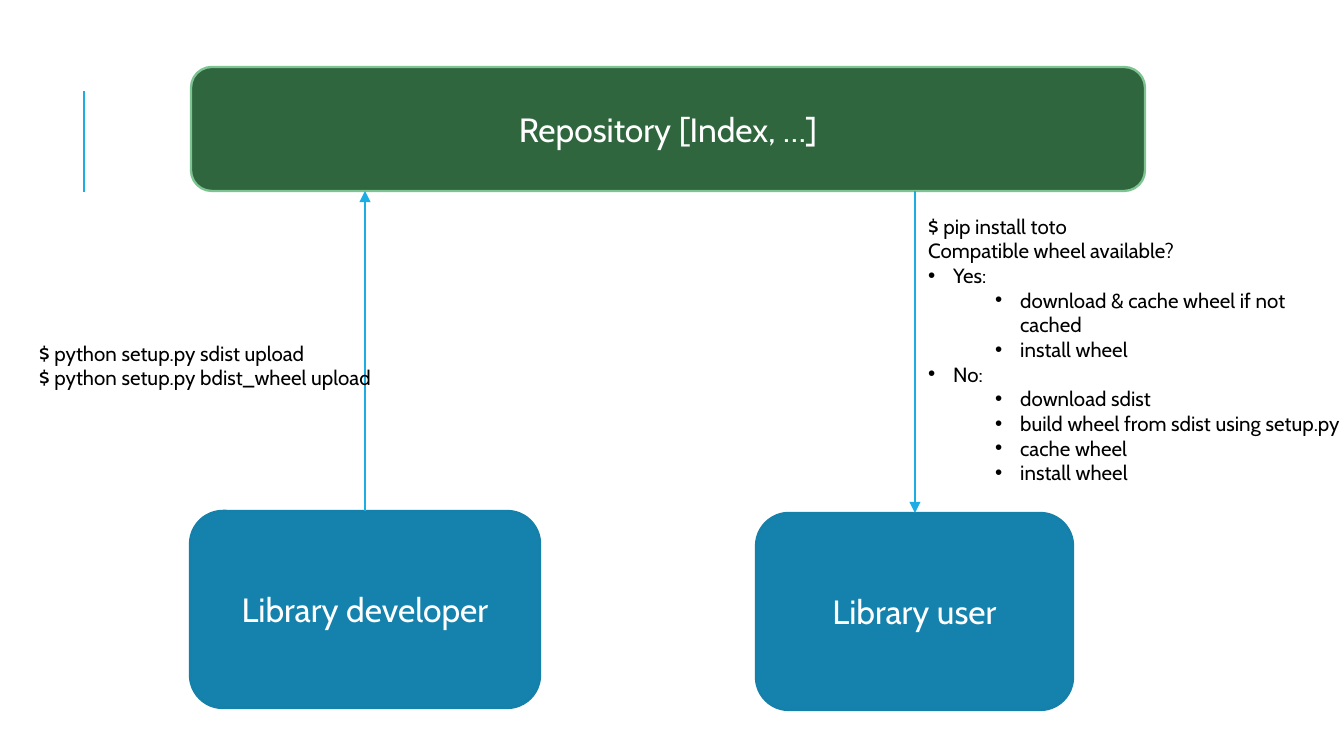
import pptx
import pptx.util
import pptx.dml.color
import pptx.enum.shapes
import pptx.enum.text
import pptx.oxml.ns

FONT = "Cabin"
STEP = 25
COLORS = {
    "green": "2F663E", "mint": "7EC492",
    "blue": "1482AC", "edge": "1580A9",
    "sky": "1CADE4", "white": "FFFFFF", "black": "000000",
}


def px(n):
    """Turn pixels into EMU at 134.4 pixels to the inch."""
    return pptx.util.Emu(round(n * 914400 / 134.4))


def rgb(name):
    """Look up a named colour."""
    return pptx.dml.color.RGBColor.from_string(COLORS[name])


def add_node(parent, tag, **attrs):
    """Append an XML child with the given attributes."""
    parent.append(parent.makeelement(pptx.oxml.ns.qn(tag), attrs))


def add_run(para, text, size, color):
    """Add one formatted run to a paragraph."""
    run = para.add_run()
    run.text = text
    run.font.name = FONT
    run.font.size = pptx.util.Pt(size)
    run.font.color.rgb = rgb(color)


def add_box(slide, text, left, top, width, height, fill, edge):
    """Add a rounded box with a centred label."""
    kind = pptx.enum.shapes.MSO_SHAPE.ROUNDED_RECTANGLE
    box = slide.shapes.add_shape(kind, px(left), px(top), px(width), px(height))
    box.shadow.inherit = False
    box.fill.solid()
    box.fill.fore_color.rgb = rgb(fill)
    box.line.color.rgb = rgb(edge)
    box.line.width = pptx.util.Pt(1.25)
    frame = box.text_frame
    frame.word_wrap = True
    frame.vertical_anchor = pptx.enum.text.MSO_ANCHOR.MIDDLE
    para = frame.paragraphs[0]
    para.alignment = pptx.enum.text.PP_ALIGN.CENTER
    add_run(para, text, 18, "white")


def add_line(slide, x, start, end, width, arrow=True):
    """Add an upright line, with an arrowhead at its end if asked."""
    kind = pptx.enum.shapes.MSO_CONNECTOR.STRAIGHT
    line = slide.shapes.add_connector(kind, px(x), px(start), px(x), px(end))
    line.line.color.rgb = rgb("sky")
    line.line.width = pptx.util.Pt(width)
    props = line._element.spPr
    if arrow:
        add_node(props.find(pptx.oxml.ns.qn("a:ln")), "a:tailEnd", type="triangle")
    add_node(props, "a:effectLst")


def add_bullet(para, indent):
    """Give a paragraph a hanging bullet."""
    props = para._p.get_or_add_pPr()
    props.set("marL", str(px(indent)))
    props.set("indent", str(-px(STEP)))
    add_node(props, "a:buFont", typeface="Arial")
    add_node(props, "a:buChar", char="•")


def add_text(slide, left, top, width, height):
    """Add an empty wrapping text box and return its frame."""
    box = slide.shapes.add_textbox(px(left), px(top), px(width), px(height))
    frame = box.text_frame
    frame.word_wrap = True
    frame.auto_size = pptx.enum.text.MSO_AUTO_SIZE.SHAPE_TO_FIT_TEXT
    return frame


def add_upload(slide):
    """Add the developer's commands, parted by a line break."""
    para = add_text(slide, 26, 334, 391, 89).paragraphs[0]
    add_run(para, "$ python setup.py sdist upload", 11, "black")
    para.add_line_break()
    add_run(para, "$ python setup.py bdist_wheel upload", 11, "black")


def add_steps(slide):
    """Add the user's install steps as a nested list."""
    steps = [
        (None, "$ pip install toto"),
        (None, "Compatible wheel available?"),
        (0, "Yes:"),
        (1, "download & cache wheel if not cached"),
        (1, "install wheel"),
        (0, "No:"),
        (1, "download sdist"),
        (1, "build wheel from sdist using setup.py"),
        (1, "cache wheel"),
        (1, "install wheel"),
    ]
    frame = add_text(slide, 915, 207, 449, 288)
    for i, (level, text) in enumerate(steps):
        para = frame.add_paragraph() if i else frame.paragraphs[0]
        if level is not None:
            para.level = level
            add_bullet(para, STEP + 67 * level)
        add_run(para, text, 11, "black")


def main():
    """Build the slide and save it."""
    deck = pptx.Presentation()
    deck.slide_width, deck.slide_height = px(1344), px(756)
    slide = deck.slides.add_slide(deck.slide_layouts[6])
    add_line(slide, 84, 192, 91, 1.5, arrow=False)
    add_box(slide, "Library developer", 190, 511, 350, 197, "blue", "edge")
    add_box(slide, "Repository [Index, …]", 191, 67, 954, 124, "green", "mint")
    add_box(slide, "Library user", 756, 513, 317, 197, "blue", "edge")
    add_line(slide, 365, 511, 191, 0.75)
    add_upload(slide)
    add_line(slide, 915, 191, 513, 0.75)
    add_steps(slide)
    deck.save("out.pptx")


main()
